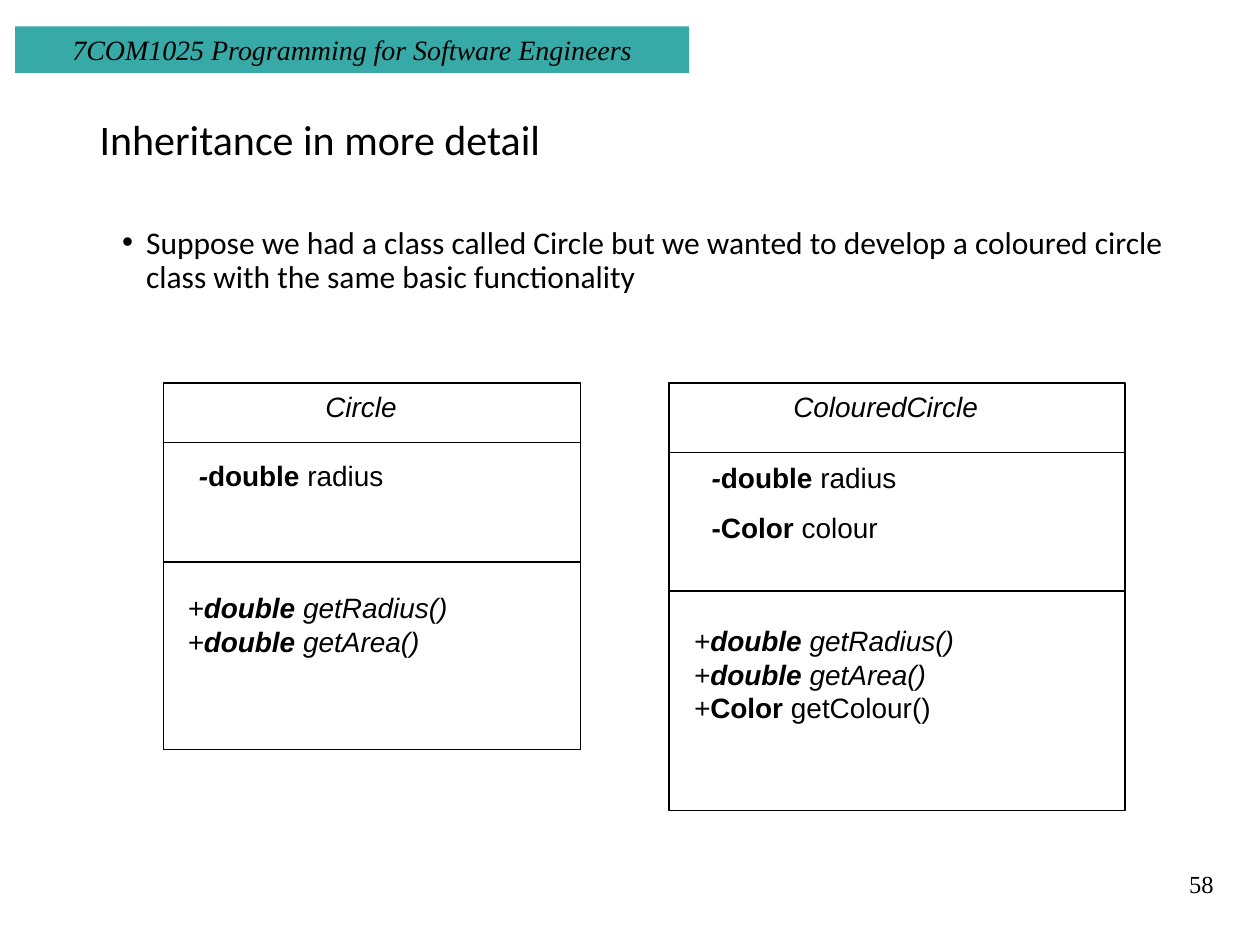
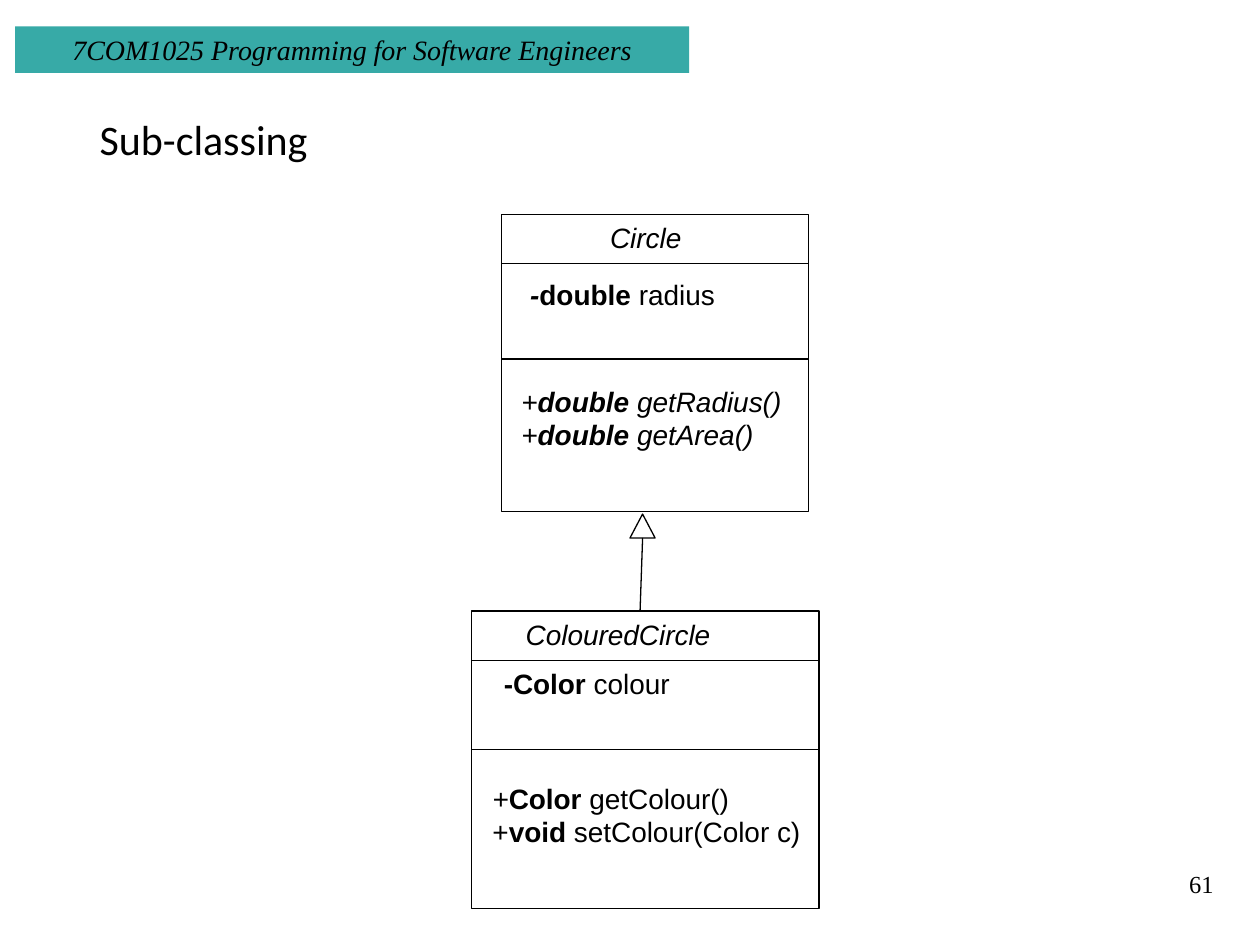
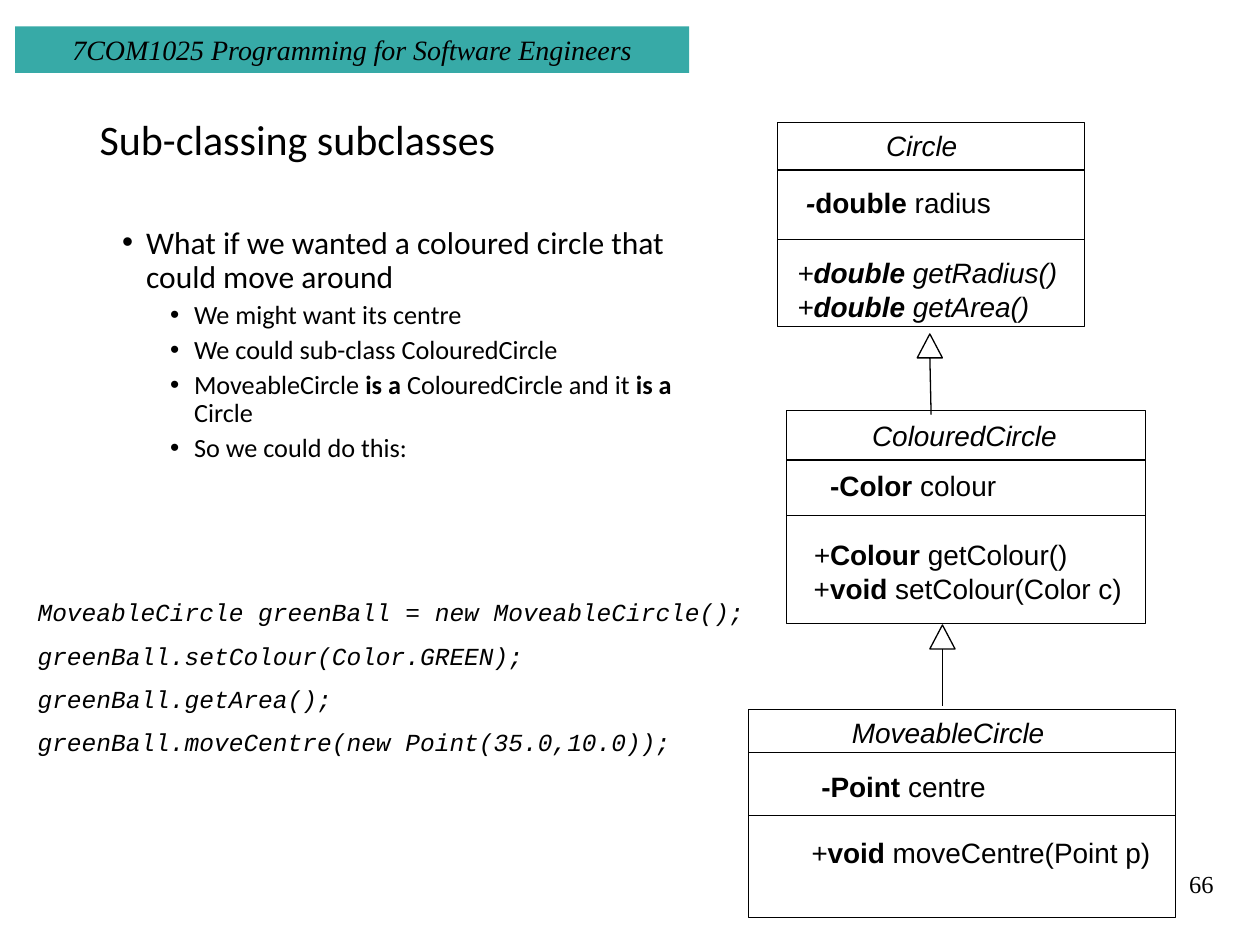
"""Build three slides on inheritance with class diagrams."""
from lxml.etree import SubElement
from pptx import Presentation
from pptx.dml.color import RGBColor
from pptx.enum.shapes import MSO_CONNECTOR as CONNECTOR, MSO_SHAPE as SHAPE
from pptx.enum.text import MSO_ANCHOR as ANCHOR, MSO_AUTO_SIZE as AUTO_SIZE, PP_ALIGN as ALIGN
from pptx.oxml.ns import qn
from pptx.util import Inches, Pt

BLACK, WHITE, TEAL = "000000", "FFFFFF", "37AAA7"
COURSE = "7COM1025 Programming for Software Engineers"
LINE_WIDTH = Pt(0.75)


def color(value):
    return RGBColor.from_string(value)


def write_text(frame, lines, font="Arial", size=16, style="", align=ALIGN.LEFT,
               gap=0, wrap=True, fit=AUTO_SIZE.SHAPE_TO_FIT_TEXT):
    """Write lines, each a string or a list of (text, style) runs, into a frame."""
    frame.word_wrap = wrap
    frame.auto_size = fit
    for index, line in enumerate(lines):
        paragraph = frame.add_paragraph() if index else frame.paragraphs[0]
        paragraph.alignment = align
        if index and gap:
            paragraph.space_before = Pt(gap)
        for text, run_style in [(line, style)] if isinstance(line, str) else line:
            run = paragraph.add_run()
            run.text = text
            run.font.name = font
            run.font.size = Pt(size)
            run.font.bold = "b" in run_style
            run.font.italic = "i" in run_style
            run.font.color.rgb = color(BLACK)


RADIUS = [("-", "bi"), ("double ", "b"), ("radius", "")]
COLOUR = [("-Color ", "b"), ("colour", "")]
CENTRE = [("-Point ", "b"), ("centre", "")]
GET_RADIUS = [("+", "i"), ("double ", "bi"), ("getRadius()", "i")]
GET_AREA = [("+", "i"), ("double ", "bi"), ("getArea()", "i")]
GET_COLOUR = [("+", "i"), ("Color ", "b"), ("getColour()", "")]
GET_COLOUR_BRITISH = [("+", "i"), ("Colour ", "b"), ("getColour()", "")]
SET_COLOUR = [("+", ""), ("void ", "b"), ("setColour(Color c)", "")]
MOVE_CENTRE = [("+", "i"), ("void ", "b"), ("moveCentre(Point p)", "")]

# Class: box, divider heights, then (left, top, width) and content of each part
slides = [
    dict(
        title="Inheritance in more detail", number="58",
        body_size=(8.91, 1.06),
        bullets=[(1, "Suppose we had a class called Circle but we wanted to develop "
                     "a coloured circle class with the same basic functionality")],
        classes=[
            ((1.3, 3.04, 3.31, 2.91), (3.51, 4.46),
             (2.22, 3.04, 1.29), "Circle",
             (1.48, 3.59, 2.94), [RADIUS],
             (1.39, 4.64, 2.27), [GET_RADIUS, GET_AREA]),
            ((5.31, 3.04, 3.62, 3.39), (3.59, 4.69),
             (5.78, 3.04, 2.5), "ColouredCircle",
             (5.55, 3.61, 3.22), [RADIUS, COLOUR],
             (5.41, 4.9, 2.27), [GET_RADIUS, GET_AREA, GET_COLOUR]),
        ],
        arrows=[], code=[],
    ),
    dict(
        title="Sub-classing", number="61", bullets=[],
        classes=[
            ((3.98, 1.7, 2.44, 2.36), (2.09, 2.85),
             (4.65, 1.7, 0.95), "Circle",
             (4.11, 2.15, 2.17), [RADIUS],
             (4.04, 3, 2.27), [GET_RADIUS, GET_AREA]),
            ((3.74, 4.85, 2.76, 2.36), (5.24, 5.95),
             (4.06, 4.85, 1.69), "ColouredCircle",
             (3.9, 5.24, 2.17), [COLOUR],
             (3.81, 6.15, 2.65), [GET_COLOUR, SET_COLOUR]),
        ],
        arrows=[(5.1, 4.08, 5.08, 4.85)], code=[],
    ),
    dict(
        title="Sub-classing subclasses", number="66",
        body_size=(5.37, 2.63),
        bullets=[
            (1, "What if we wanted a coloured circle that could move around"),
            (2, "We might want its centre"),
            (2, "We could sub-class ColouredCircle"),
            (2, [("MoveableCircle ", ""), ("is a ", "b"),
                 ("ColouredCircle and it ", ""), ("is a ", "b"), ("Circle", "")]),
            (2, "So we could do this:"),
        ],
        classes=[
            ((6.17, 0.97, 2.44, 1.62), (1.35, 1.9),
             (6.84, 0.97, 0.95), "Circle",
             (6.3, 1.42, 2.17), [RADIUS],
             (6.23, 1.98, 2.27), [GET_RADIUS, GET_AREA]),
            ((6.24, 3.26, 2.85, 1.69), (3.65, 4.09),
             (6.67, 3.27, 1.97), "ColouredCircle",
             (6.49, 3.67, 2.54), [COLOUR],
             (6.36, 4.22, 2.65), [GET_COLOUR_BRITISH, SET_COLOUR]),
            ((5.94, 5.63, 3.39, 1.65), (5.97, 6.47),
             (6.5, 5.63, 2.05), "MoveableCircle",
             (6.42, 6.06, 2.17), [CENTRE],
             (6.34, 6.58, 2.9), [MOVE_CENTRE]),
        ],
        arrows=[(7.38, 2.65, 7.39, 3.29), (7.48, 4.96, 7.48, 5.6)],
        code=["MoveableCircle greenBall = new MoveableCircle();",
              "greenBall.setColour(Color.GREEN);",
              "greenBall.getArea();",
              "greenBall.moveCentre(new Point(35.0,10.0));"],
    ),
]

presentation = Presentation()
presentation.slide_width = Inches(10)
presentation.slide_height = Inches(7.5)

for content in slides:
    layout = presentation.slide_layouts[1 if content["bullets"] else 5]
    slide = presentation.slides.add_slide(layout)
    shapes = slide.shapes

    band = shapes.add_shape(SHAPE.RECTANGLE, Inches(0.12), Inches(0.21), Inches(5.35), Inches(0.37))
    band.shadow.inherit = False
    band.fill.solid()
    band.fill.fore_color.rgb = color(TEAL)
    band.line.fill.background()
    write_text(band.text_frame, [COURSE], font="Times New Roman", style="i", align=ALIGN.CENTER)

    number = shapes.add_textbox(Inches(8.94), Inches(6.85), Inches(0.79), Inches(0.36))
    write_text(number.text_frame, [content["number"]], font="Times New Roman", size=14,
               align=ALIGN.RIGHT, fit=AUTO_SIZE.NONE)

    title = shapes.title
    title.left, title.top = Inches(0.69), Inches(0.4)
    title.width, title.height = Inches(8.62), Inches(1.45)
    title.text_frame.vertical_anchor = ANCHOR.MIDDLE
    write_text(title.text_frame, [content["title"]], font="Calibri", size=24, fit=AUTO_SIZE.NONE)
    title.text_frame.paragraphs[0].line_spacing = 0.9

    if content["bullets"]:
        body = slide.placeholders[1]
        body.left, body.top = Inches(0.5), Inches(1.75)
        body.width, body.height = [Inches(length) for length in content["body_size"]]
        write_text(body.text_frame, [line for level, line in content["bullets"]],
                   font="Calibri", fit=AUTO_SIZE.NONE)
        for paragraph, (level, line) in zip(body.text_frame.paragraphs, content["bullets"]):
            paragraph.level = level
            paragraph.line_spacing = 0.9
            paragraph.space_before = Pt(3.8)
            for run in paragraph.runs:
                run.font.size = Pt(18 if level == 1 else 15)
            properties = paragraph._p.get_or_add_pPr()
            properties.set("marL", str(Inches(0.56 if level == 1 else 0.94)))
            properties.set("indent", str(Inches(-0.19)))
            SubElement(properties, qn("a:buChar")).set("char", "•")

    segments = []
    for box, dividers, name_at, name, fields_at, fields, methods_at, methods in content["classes"]:
        left, top, width, height = box
        outline = shapes.add_shape(SHAPE.RECTANGLE, *[Inches(length) for length in box])
        outline.shadow.inherit = False
        outline.fill.background()
        outline.line.color.rgb = color(BLACK)
        outline.line.width = LINE_WIDTH
        segments += [(left, y, left + width, y) for y in dividers]
        for place, lines, options in (
            (name_at, [name], dict(style="i", align=ALIGN.CENTER)),
            (fields_at, fields, dict(gap=9)),
            (methods_at, methods, dict(wrap=False)),
        ):
            text_height = 0.1 + 0.27 * len(lines)
            label = shapes.add_textbox(*[Inches(length) for length in (*place, text_height)])
            write_text(label.text_frame, lines, **options)

    if content["code"]:
        code = shapes.add_textbox(Inches(0.2), Inches(4.69), Inches(6.06), Inches(1.38))
        write_text(code.text_frame, content["code"], font="Courier New", size=14, style="i", gap=8)

    for tip_x, tip_y, end_x, end_y in content["arrows"]:
        segments.append((tip_x, tip_y + 0.19, end_x, end_y))
        builder = shapes.build_freeform(Inches(tip_x), Inches(tip_y))
        builder.add_line_segments([(Inches(tip_x + side), Inches(tip_y + 0.19))
                                   for side in (-0.1, 0.1)])
        head = builder.convert_to_shape()
        head.shadow.inherit = False
        head.fill.solid()
        head.fill.fore_color.rgb = color(WHITE)
        head.line.color.rgb = color(BLACK)
        head.line.width = LINE_WIDTH

    for segment in segments:
        line = shapes.add_connector(CONNECTOR.STRAIGHT, *[Inches(length) for length in segment])
        line.line.color.rgb = color(BLACK)
        line.line.width = LINE_WIDTH
        SubElement(line._element.spPr, qn("a:effectLst"))

presentation.save("out.pptx")
